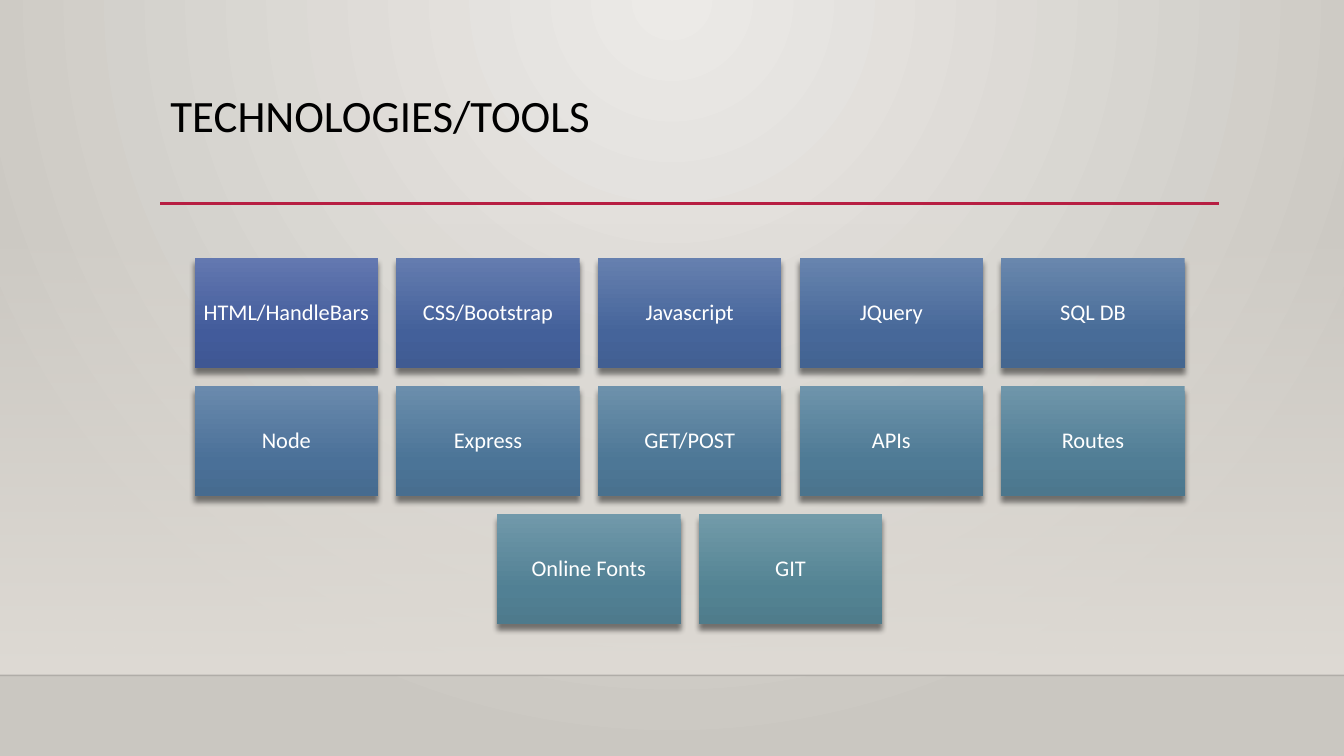
from colorsys import hls_to_rgb, rgb_to_hls

from pptx import Presentation
from pptx.dml.color import RGBColor
from pptx.enum.shapes import MSO_CONNECTOR, MSO_SHAPE
from pptx.enum.text import MSO_ANCHOR, PP_ALIGN
from pptx.oxml import parse_xml
from pptx.oxml.ns import nsdecls, qn
from pptx.oxml.xmlchemy import OxmlElement
from pptx.util import Inches, Pt

SLIDE_WIDTH, SLIDE_HEIGHT = 13.33, 7.5
FONT = "Calibri"
BLACK = RGBColor(0x00, 0x00, 0x00)
WHITE = RGBColor(0xFF, 0xFF, 0xFF)
CRIMSON = RGBColor(0xB7, 0x1E, 0x42)
WALL_LIGHT = RGBColor(0xEC, 0xEA, 0xE7)
WALL_DARK = RGBColor(0xCA, 0xC7, 0xC1)
WALL_FADE = RGBColor(0xDF, 0xDB, 0xD5)
FIRST_TILE = [RGBColor(0x63, 0x78, 0xB0), RGBColor(0x42, 0x5B, 0x9B), RGBColor(0x3F, 0x57, 0x93)]
LAST_TILE = [RGBColor(0x72, 0x9B, 0xA9), RGBColor(0x53, 0x83, 0x93), RGBColor(0x4F, 0x7C, 0x8B)]
TILE_STOPS = [0, 69, 100]

LINEAR = '<a:lin ang="5400000" scaled="0"/>'
FROM_TOP = ('<a:path path="circle">'
            '<a:fillToRect l="43000" t="0" r="43000" b="100000"/></a:path>')

CONTENT_LEFT, CONTENT_WIDTH = 1.59, 10.5
RULE_TOP, HORIZON = 2.02, 6.7
TILE_WIDTH, TILE_HEIGHT, TILE_GAP = 1.82, 1.09, 0.18
GRID_TOP = 2.56
GRID_CENTER = CONTENT_LEFT + CONTENT_WIDTH / 2

TOOL_ROWS = [
    ["HTML/HandleBars", "CSS/Bootstrap", "Javascript", "JQuery", "SQL DB"],
    ["Node", "Express", "GET/POST", "APIs", "Routes"],
    ["Online Fonts", "GIT"],
]


def set_gradient(fill, owner, stops, direction):
    fill.solid()
    solid = owner.find(".//" + qn("a:solidFill"))
    stop_xml = "".join(
        f'<a:gs pos="{position * 1000}"><a:srgbClr val="{color}">'
        f'<a:alpha val="{alpha * 1000}"/></a:srgbClr></a:gs>'
        for position, color, alpha in stops)
    gradient = parse_xml(f'<a:gradFill {nsdecls("a")} rotWithShape="1">'
                         f'<a:gsLst>{stop_xml}</a:gsLst>{direction}</a:gradFill>')
    solid.getparent().replace(solid, gradient)


def write_text(shape, text, size, color, align=PP_ALIGN.LEFT, anchor=MSO_ANCHOR.TOP,
               side_inset=0.1, top_inset=0.05):
    frame = shape.text_frame
    frame.word_wrap = True
    frame.vertical_anchor = anchor
    frame.margin_left = frame.margin_right = Inches(side_inset)
    frame.margin_top = frame.margin_bottom = Inches(top_inset)
    paragraph = frame.paragraphs[0]
    paragraph.alignment = align
    paragraph.line_spacing = 0.9
    run = paragraph.add_run()
    run.text = text
    run.font.name = FONT
    run.font.size = Pt(size)
    run.font.color.rgb = color


def add_rectangle(slide, left, top, width, height, stops):
    shape = slide.shapes.add_shape(MSO_SHAPE.RECTANGLE, Inches(left), Inches(top),
                                   Inches(width), Inches(height))
    shape.shadow.inherit = False
    set_gradient(shape.fill, shape.element, stops, LINEAR)
    shape.line.fill.background()
    return shape


def add_rule(slide, left, right, top, color, width, alpha=100):
    rule = slide.shapes.add_connector(MSO_CONNECTOR.STRAIGHT, Inches(left), Inches(top),
                                      Inches(right), Inches(top))
    rule.line.color.rgb = color
    rule.line.width = Pt(width)
    opacity = OxmlElement("a:alpha")
    opacity.set("val", str(alpha * 1000))
    rule.element.find(".//" + qn("a:srgbClr")).append(opacity)
    rule.element.spPr.append(OxmlElement("a:effectLst"))


def add_drop_shadow(shape):
    shadow = parse_xml(
        f'<a:outerShdw {nsdecls("a")} blurRad="{Pt(4)}" dist="{Pt(4)}" dir="5400000" '
        f'rotWithShape="0"><a:srgbClr val="{BLACK}"><a:alpha val="48000"/></a:srgbClr>'
        '</a:outerShdw>')
    shape.element.spPr.find(qn("a:effectLst")).append(shadow)


def blend(start, end, share):
    start_hls, end_hls = (rgb_to_hls(*(channel / 255 for channel in color))
                          for color in (start, end))
    mixed = (a + (b - a) * share for a, b in zip(start_hls, end_hls))
    return RGBColor(*(round(channel * 255) for channel in hls_to_rgb(*mixed)))


def add_tile(slide, text, left, top, share):
    colors = [blend(start, end, share) for start, end in zip(FIRST_TILE, LAST_TILE)]
    stops = [(position, color, 100) for position, color in zip(TILE_STOPS, colors)]
    tile = add_rectangle(slide, left, top, TILE_WIDTH, TILE_HEIGHT, stops)
    add_drop_shadow(tile)
    write_text(tile, text, size=16, color=WHITE, align=PP_ALIGN.CENTER,
               anchor=MSO_ANCHOR.MIDDLE, side_inset=0.07, top_inset=0.07)


def add_tile_grid(slide, rows):
    last_index = sum(len(row) for row in rows) - 1
    index = 0
    for row_number, row in enumerate(rows):
        row_width = len(row) * (TILE_WIDTH + TILE_GAP) - TILE_GAP
        top = GRID_TOP + row_number * (TILE_HEIGHT + TILE_GAP)
        for column, text in enumerate(row):
            left = GRID_CENTER - row_width / 2 + column * (TILE_WIDTH + TILE_GAP)
            add_tile(slide, text, left, top, index / last_index)
            index += 1


def add_backdrop(slide):
    set_gradient(slide.background.fill, slide.element,
                 [(0, WALL_LIGHT, 100), (100, WALL_DARK, 100)], FROM_TOP)
    add_rectangle(slide, 0, 2.21, SLIDE_WIDTH, HORIZON - 2.21,
                  [(0, WALL_FADE, 0), (100, WALL_FADE, 100)])
    add_rule(slide, 0, SLIDE_WIDTH, HORIZON, BLACK, 1, alpha=20)
    add_rule(slide, CONTENT_LEFT, CONTENT_LEFT + CONTENT_WIDTH, RULE_TOP, CRIMSON, 2.5)


def add_title(slide, text):
    title = slide.shapes.title
    title.left, title.top = Inches(CONTENT_LEFT), Inches(0.88)
    title.width, title.height = Inches(CONTENT_WIDTH), Inches(1.15)
    write_text(title, text, size=32, color=BLACK)


def main():
    presentation = Presentation()
    presentation.slide_width = Inches(SLIDE_WIDTH)
    presentation.slide_height = Inches(SLIDE_HEIGHT)
    slide = presentation.slides.add_slide(presentation.slide_layouts[5])
    add_backdrop(slide)
    add_title(slide, "TECHNOLOGIES/TOOLS")
    add_tile_grid(slide, TOOL_ROWS)
    presentation.save("out.pptx")


if __name__ == "__main__":
    main()
